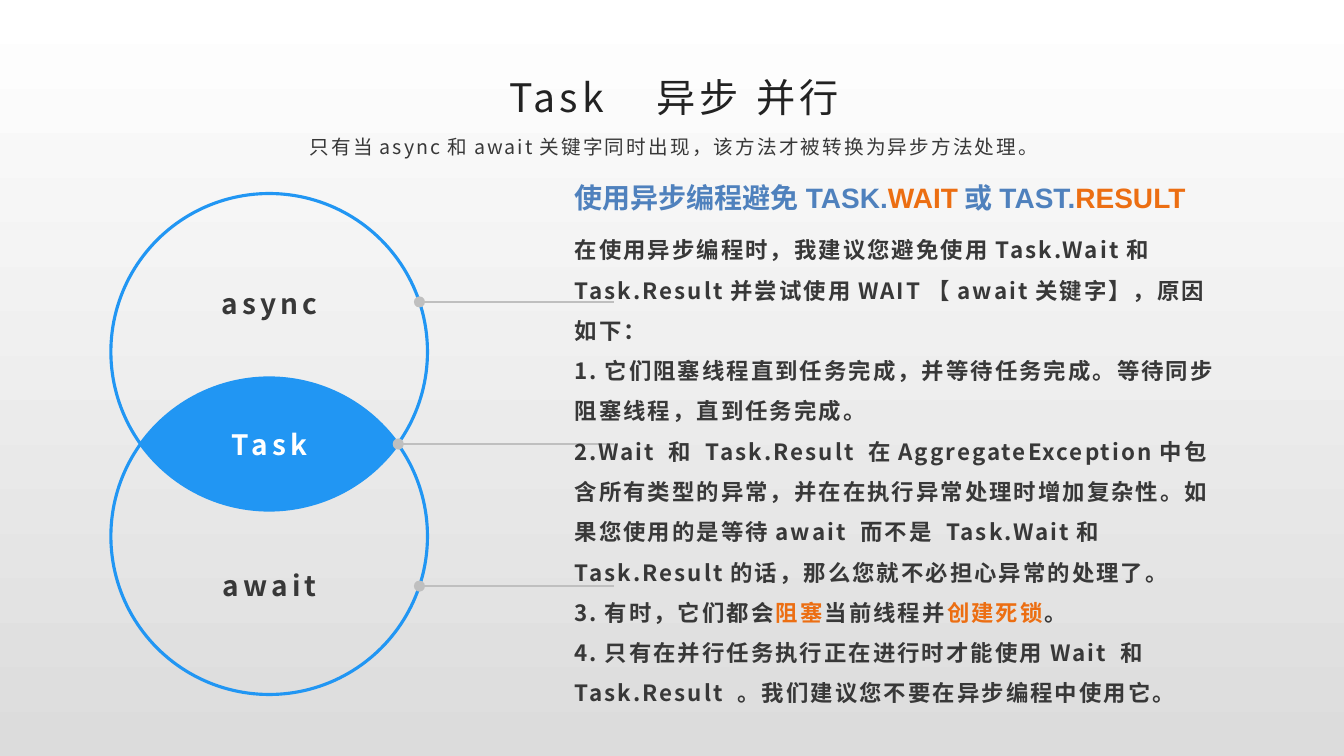
from dataclasses import dataclass
from math import asin, cos, pi, sin, sqrt

from lxml.etree import SubElement
from pptx import Presentation
from pptx.dml.color import RGBColor
from pptx.enum.shapes import MSO_CONNECTOR, MSO_SHAPE
from pptx.enum.text import MSO_ANCHOR, MSO_AUTO_SIZE, PP_ALIGN
from pptx.oxml.ns import qn
from pptx.util import Inches, Pt


@dataclass(frozen=True)
class Theme:
    """Colours, fonts and type sizes of the slide."""
    blue: str = "2196F3"
    heading_blue: str = "4F81BD"
    orange: str = "EC6E12"
    grey: str = "BFBFBF"
    title: str = "222222"
    text: str = "383838"
    white: str = "FFFFFF"
    shade: str = "DCDCDC"
    font: str = "Noto Sans CJK SC"
    heading_font: str = "Arial"
    title_size: int = 28
    label_size: int = 20
    body_size: int = 16
    subtitle_size: int = 14


THEME = Theme()
CENTER_X, UPPER_Y, LOWER_Y, RADIUS = 2.67, 3.49, 5.32, 1.57
MIDDLE_Y = (UPPER_Y + LOWER_Y) / 2
LENS_HALF_WIDTH = sqrt(RADIUS ** 2 - (LOWER_Y - MIDDLE_Y) ** 2)
LABEL_STEP = 1.4
POINTER_STEP = 1.41
LINE_END = 6.09
DOT_RADIUS = 0.055

TITLE = [[("Task", None), (" ", None, 21.6), ("异步 并行", None)]]
SUBTITLE = [[("只有当async和await关键字同时出现，该方法才被转换为异步方法处理。", None)]]
HEADING = [[("使用异步编程避免TASK.", None), ("WAIT", THEME.orange),
            ("或TAST.", None), ("RESULT", THEME.orange)]]
REASONS = [
    [("在使用异步编程时，我建议您避免使用Task.Wait和Task.Result并尝试使用WAIT"
      "【await关键字】，原因如下：", None)],
    [("1.它们阻塞线程直到任务完成，并等待任务完成。等待同步阻塞线程，直到任务完成。", None)],
    [("2.Wait 和 Task.Result 在AggregateException中包含所有类型的异常，"
      "并在在执行异常处理时增加复杂性。如果您使用的是等待await 而不是 "
      "Task.Wait和Task.Result的话，那么您就不必担心异常的处理了。", None)],
    [("3.有时，它们都会", None), ("阻塞", THEME.orange), ("当前线程并", None),
     ("创建死锁", THEME.orange), ("。", None)],
    [("4.只有在并行任务执行正在进行时才能使用Wait 和Task.Result 。"
      "我们建议您不要在异步编程中使用它。", None)],
]


def place(shape, left, top, width, height):
    """Move and size a shape, and bring it to the front."""
    shape.left, shape.top = Inches(left), Inches(top)
    shape.width, shape.height = Inches(width), Inches(height)
    shape.element.getparent().append(shape.element)


def format_span(span, size, color, font, bold, spacing):
    """Set the font of one run, for Latin and East Asian letters."""
    span.font.size = Pt(size)
    span.font.bold = bold
    span.font.color.rgb = RGBColor.from_string(color)
    span.font.name = font
    properties = span.font._element
    properties.set("spc", str(round(spacing * 100)))
    SubElement(properties, qn("a:ea")).set("typeface", THEME.font)


def write(shape, paragraphs, size, color=THEME.text, font=THEME.font, bold=False,
          spacing=0.0, line_spacing=1.0, align=PP_ALIGN.LEFT, anchor=MSO_ANCHOR.TOP):
    """Fill a shape with paragraphs of (text, colour, spacing) spans."""
    frame = shape.text_frame
    frame.word_wrap = True
    frame.auto_size = MSO_AUTO_SIZE.NONE
    frame.vertical_anchor = anchor
    for index, spans in enumerate(paragraphs):
        para = frame.add_paragraph() if index else frame.paragraphs[0]
        para.alignment = align
        para.line_spacing = line_spacing
        para.space_before = Pt(0)
        properties = para._p.get_or_add_pPr()
        properties.set("marL", "0")
        properties.set("indent", "0")
        SubElement(properties, qn("a:buNone"))
        for text, accent, *own_spacing in spans:
            span = para.add_run()
            span.text = text
            format_span(span, size, accent or color, font, bold,
                        own_spacing[0] if own_spacing else spacing)


def add_text(page, left, top, width, height, paragraphs, size, **style):
    """Add a text box."""
    box = page.shapes.add_textbox(Inches(left), Inches(top), Inches(width), Inches(height))
    write(box, paragraphs, size, **style)


def add_circle(page, center_x, center_y, radius, fill=None, line=None):
    """Add a filled or outlined circle around a centre."""
    circle = page.shapes.add_shape(
        MSO_SHAPE.OVAL, Inches(center_x - radius), Inches(center_y - radius),
        Inches(2 * radius), Inches(2 * radius))
    paint(circle, fill, line)


def paint(shape, fill=None, line=None):
    """Set fill and outline, and drop the shadow."""
    shape.shadow.inherit = False
    if fill:
        shape.fill.solid()
        shape.fill.fore_color.rgb = RGBColor.from_string(fill)
    else:
        shape.fill.background()
    if line:
        shape.line.color.rgb = RGBColor.from_string(line)
        shape.line.width = Pt(2.25)
    else:
        shape.line.fill.background()


def add_lens(page, steps=60):
    """Add the filled overlap of the two large circles."""
    reach = asin(LENS_HALF_WIDTH / RADIUS)
    points = []
    for center_y, middle_angle in ((LOWER_Y, pi), (UPPER_Y, 0)):
        for step in range(steps):
            angle = middle_angle - reach + 2 * reach * step / steps
            points.append((Inches(CENTER_X + RADIUS * sin(angle)),
                           Inches(center_y + RADIUS * cos(angle))))
    builder = page.shapes.build_freeform(*points[0])
    builder.add_line_segments(points[1:], close=True)
    paint(builder.convert_to_shape(), fill=THEME.blue)


def add_pointer(page, start_x, y, width):
    """Add a grey line that starts at a dot."""
    line = page.shapes.add_connector(
        MSO_CONNECTOR.STRAIGHT, Inches(start_x), Inches(y), Inches(LINE_END), Inches(y))
    line.line.color.rgb = RGBColor.from_string(THEME.grey)
    line.line.width = Pt(width)
    SubElement(line.element.spPr, qn("a:effectLst"))
    add_circle(page, start_x, y, DOT_RADIUS, fill=THEME.grey)


def set_background(page):
    """Shade the page from white down to grey."""
    fill = page.background.fill
    fill.gradient()
    fill.gradient_angle = 270
    for stop, color in zip(fill.gradient_stops, (THEME.white, THEME.shade)):
        stop.color.rgb = RGBColor.from_string(color)


def main():
    """Build the slide and save it."""
    deck = Presentation()
    deck.slide_width, deck.slide_height = Inches(13.33), Inches(7.5)
    page = deck.slides.add_slide(deck.slide_layouts[1])
    set_background(page)

    for center_y in (UPPER_Y, LOWER_Y):
        add_circle(page, CENTER_X, center_y, RADIUS, line=THEME.blue)
    add_lens(page)

    rows = (("async", THEME.text, 4.16, 1.5), ("Task", THEME.white, 3.95, 1.5),
            ("await", THEME.text, 4.16, 1.75))
    for row, (label, color, start_x, width) in enumerate(rows, start=-1):
        add_text(page, 1.87, MIDDLE_Y + row * LABEL_STEP - 0.29, 1.61, 0.59,
                 [[(label, None)]], THEME.label_size, color=color, bold=True,
                 spacing=3, align=PP_ALIGN.CENTER, anchor=MSO_ANCHOR.MIDDLE)
        add_pointer(page, start_x, MIDDLE_Y + row * POINTER_STEP, width)

    body = page.placeholders[1]
    place(body, 5.6, 3.04, 6.61, 3.14)
    write(body, REASONS, THEME.body_size, bold=True, spacing=1.5, line_spacing=1.5,
          anchor=MSO_ANCHOR.MIDDLE)
    title = page.shapes.title
    place(title, 0.51, 0.58, 12.35, 0.66)
    write(title, TITLE, THEME.title_size, color=THEME.title, spacing=3,
          line_spacing=1.2, align=PP_ALIGN.CENTER)
    add_text(page, 0.51, 1.24, 12.35, 0.38, SUBTITLE, THEME.subtitle_size,
             spacing=1.5, line_spacing=1.2, align=PP_ALIGN.CENTER)
    add_text(page, 5.6, 1.74, 6.45, 0.44, HEADING, THEME.label_size,
             color=THEME.heading_blue, font=THEME.heading_font, bold=True)

    deck.save("out.pptx")


if __name__ == "__main__":
    main()
